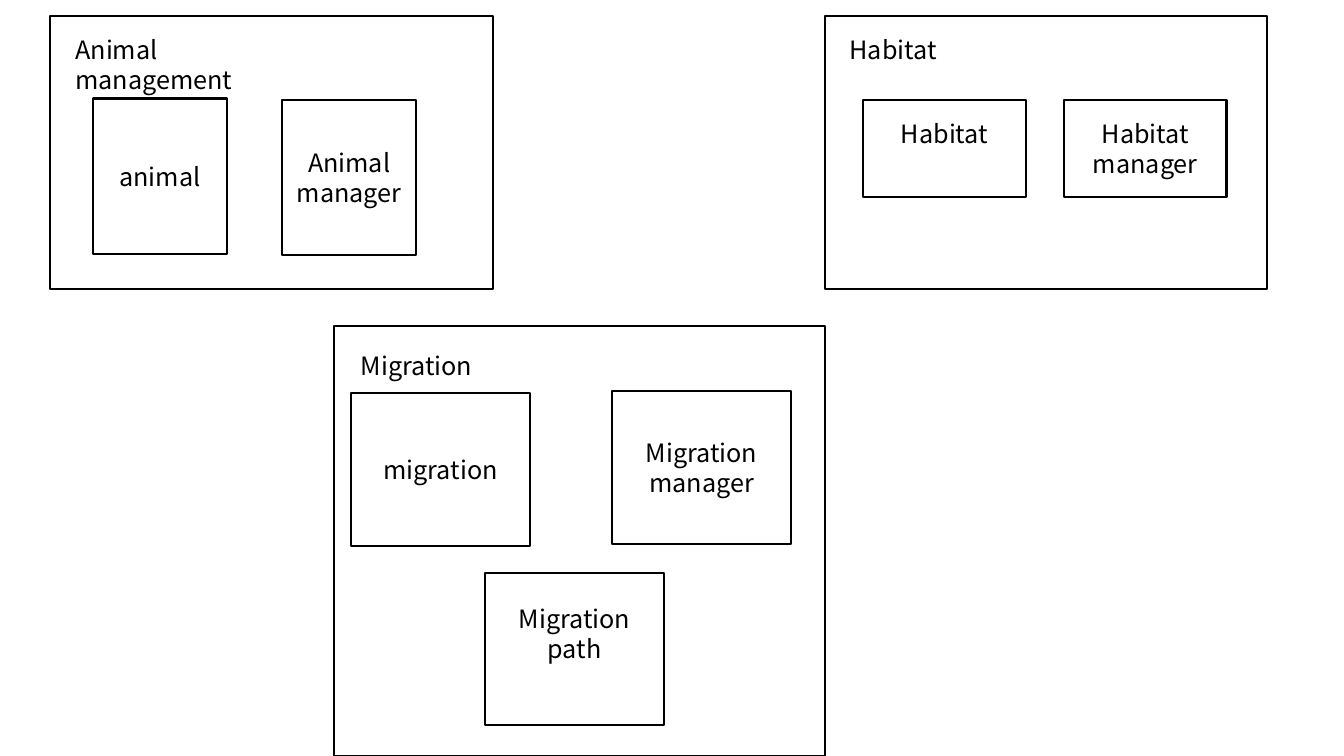
import pptx
import pptx.dml.color
import pptx.enum.shapes
import pptx.enum.text
import pptx.util

Pt = pptx.util.Pt
BLACK = pptx.dml.color.RGBColor(0, 0, 0)
FONT = "Noto Sans CJK SC"
FONT_SIZE = 18
LINE_HEIGHT = 21.5
LINE_WIDTH = 1.5


class SubsystemDiagram:
    """Holds the style and the slide, and draws each kind of element."""

    def __init__(self, slide):
        self.slide = slide

    def set_text(self, shape, text, alignment, anchor):
        frame = shape.text_frame
        frame.word_wrap = True
        frame.vertical_anchor = anchor
        frame.text = text
        paragraph = frame.paragraphs[0]
        paragraph.alignment = alignment
        paragraph.line_spacing = Pt(LINE_HEIGHT)
        font = paragraph.runs[0].font
        font.name = FONT
        font.size = Pt(FONT_SIZE)
        font.color.rgb = BLACK

    def box(self, group, left, top, width, height):
        shape = group.shapes.add_shape(
            pptx.enum.shapes.MSO_SHAPE.RECTANGLE,
            Pt(left), Pt(top), Pt(width), Pt(height))
        shape.shadow.inherit = False
        shape.fill.background()
        shape.line.color.rgb = BLACK
        shape.line.width = Pt(LINE_WIDTH)
        return shape

    def label(self, group, text, left, top, width, height):
        shape = group.shapes.add_textbox(Pt(left), Pt(top), Pt(width), Pt(height))
        self.set_text(shape, text, pptx.enum.text.PP_ALIGN.LEFT,
                      pptx.enum.text.MSO_ANCHOR.TOP)

    def component(self, group, text, left, top, width, height, raised):
        shape = self.box(group, left, top, width, height)
        self.set_text(shape, text, pptx.enum.text.PP_ALIGN.CENTER,
                      pptx.enum.text.MSO_ANCHOR.MIDDLE)
        if raised:
            # One line of extra room below lifts the centred text
            shape.text_frame.margin_bottom = Pt(3.6 + LINE_HEIGHT)

    def subsystem(self, frame, title, title_area, size, components):
        group = self.slide.shapes.add_group_shape()
        self.box(group, *frame)
        self.label(group, title, *title_area)
        for text, left, top, raised in components:
            self.component(group, text, left, top, *size, raised)


def main():
    presentation = pptx.Presentation()
    presentation.slide_width = Pt(960)
    presentation.slide_height = Pt(540)
    slide = presentation.slides.add_slide(presentation.slide_layouts[6])
    diagram = SubsystemDiagram(slide)

    # Animal management
    diagram.subsystem(
        (36, 11.5, 316, 195), "Animal management", (46.8, 20.9, 177, 28.8),
        (96, 111),
        [("animal", 66.2, 70.4, False), ("Animal manager", 201.4, 71.3, False)])

    # Habitat
    diagram.subsystem(
        (589, 11.5, 316, 195), "Habitat", (599.8, 20.9, 80.6, 48.2),
        (116, 69.4),
        [("Habitat", 616.7, 71.3, True), ("Habitat manager", 760.1, 71.3, False)])

    # Migration
    diagram.subsystem(
        (238.3, 232.6, 350.8, 307.4), "Migration", (250.6, 247, 99.4, 54),
        (128.3, 109),
        [("migration", 250.6, 280.8, False),
         ("Migration manager", 437, 279.4, False),
         ("Migration path", 346.3, 409, True)])

    presentation.save("out.pptx")


if __name__ == "__main__":
    main()
